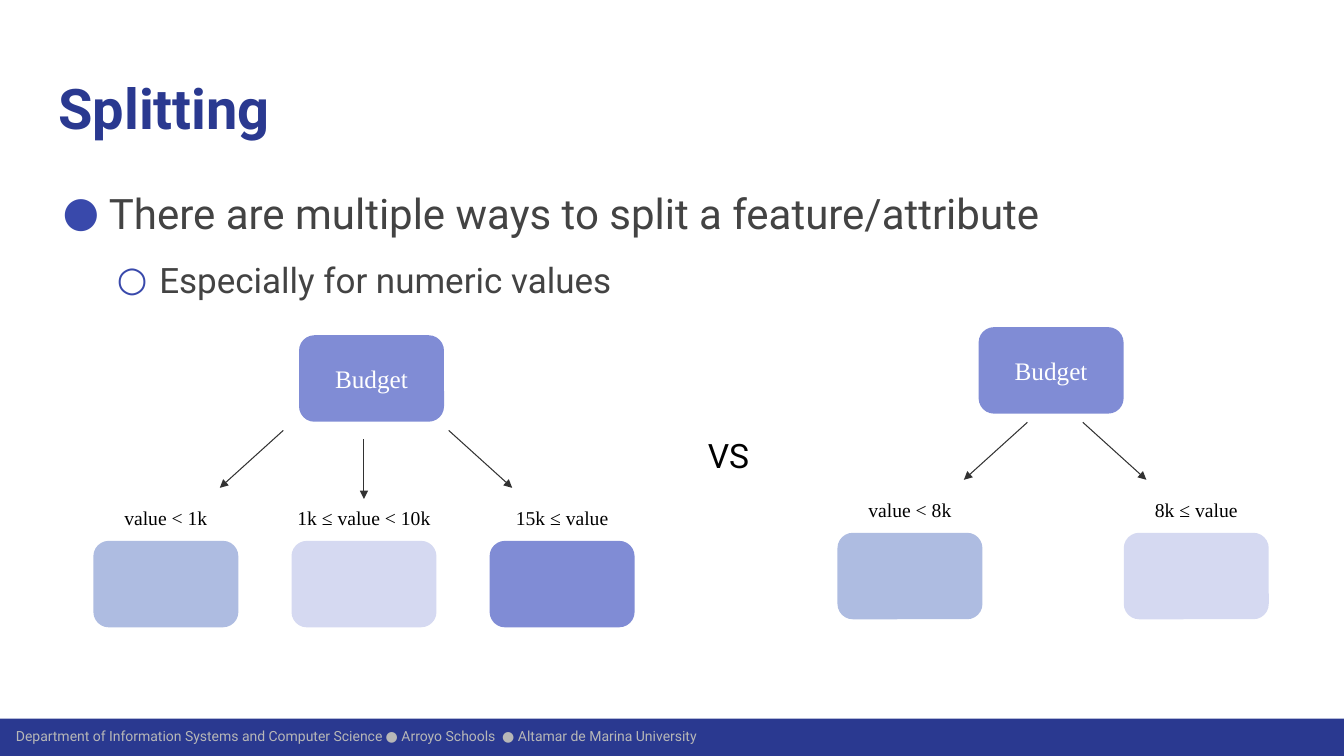
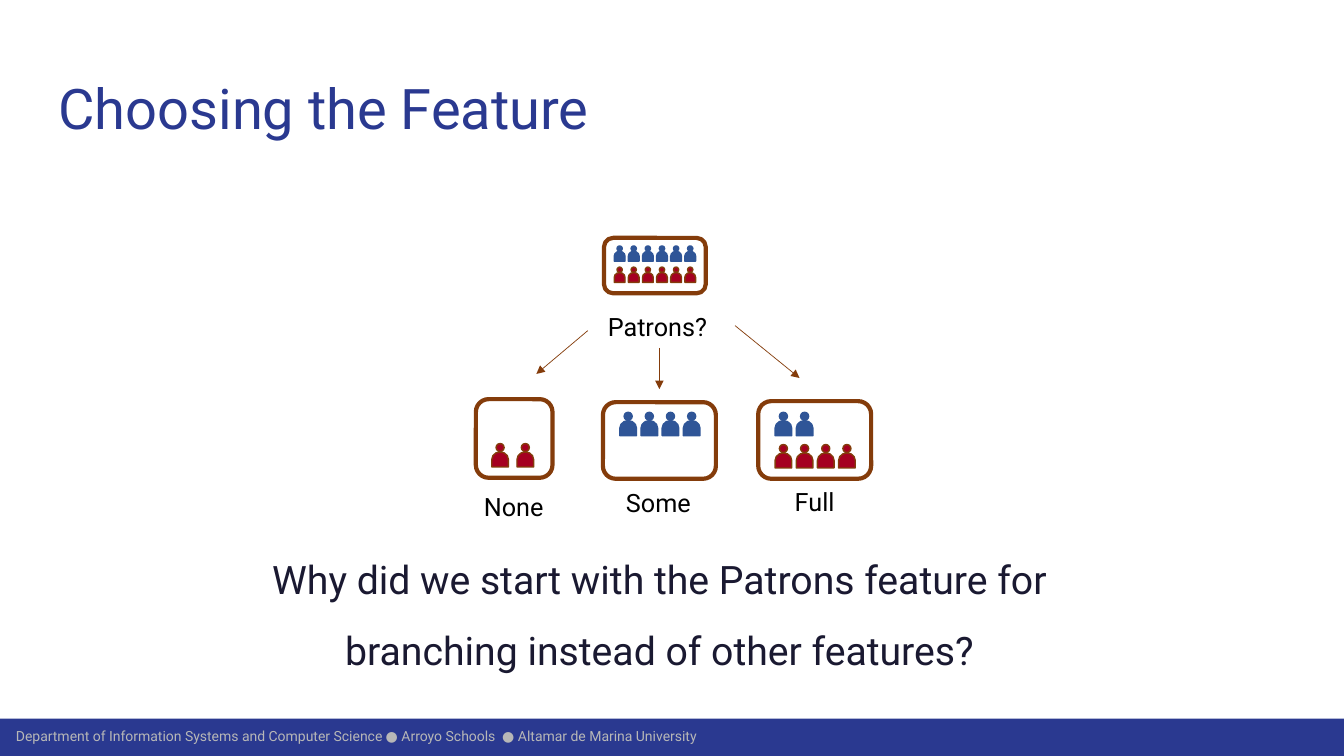
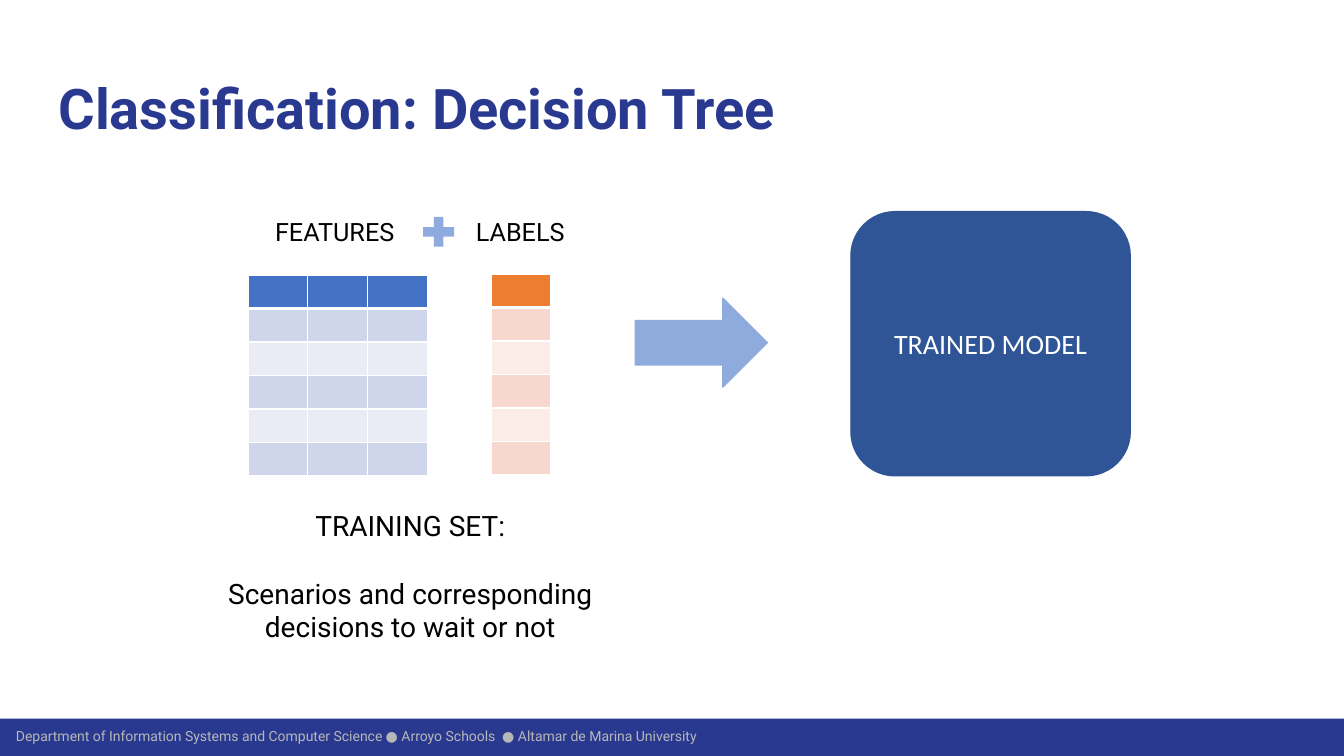
from lxml import etree
from pptx import Presentation, util as u
from pptx.dml.color import RGBColor
from pptx.enum import shapes, text
from pptx.oxml.ns import qn

# Shared style
W, H = 13.33, 7.5
C = dict(navy="2A3990", grey="B7B7B7", body="434343", bullet="3949AB", black="000000",
         white="FFFFFF", ink="1A1931", arrow="323232", strong="808CD5", light="AEBCE1",
         pale="D5D9F1", brown="843C0B", red="A50021", blue="2F5597", sky="8FAADC")
G = shapes.MSO_SHAPE
LEFT, CENTER = text.PP_ALIGN.LEFT, text.PP_ALIGN.CENTER
TOP, MIDDLE = text.MSO_ANCHOR.TOP, text.MSO_ANCHOR.MIDDLE
SERIF = "Times New Roman"
FOOTER = ("Department of Information Systems and Computer Science ● Arroyo Schools  "
          "● Altamar de Marina University")

# Slide 1: each tree fans out from its root box
BULLETS = [("There are multiple ways to split a feature/attribute", 30, "●", 0.5, -0.46),
           ("Especially for numeric values", 25, "○", 1, -0.42)]
BOX = (1.41, 0.83)
TREES = [
    dict(root=(2.98, 3.34), center=3.61, pitch=1.965, fan=3.63, gap=0.82,
         leaves=[("value < 1k", "light"), ("1k ≤ value < 10k", "pale"),
                 ("15k ≤ value", "strong")]),
    dict(root=(9.72, 3.26), center=10.445, pitch=2.84, fan=10.465, gap=0.275,
         leaves=[("value < 8k", "light"), ("8k ≤ value", "pale")]),
]

# Slide 2: frames, rows of people (x, y, count, pitch, scale, colour), labels, arrows
FRAMES = [(5.99, 2.36, 1.01, 0.55), (4.72, 3.96, 0.76, 0.78),
          (5.98, 3.99, 1.12, 0.76), (7.52, 3.98, 1.12, 0.77)]
PEOPLE = [(6.12, 2.44, 6, 0.14, 0.65, "blue"), (6.12, 2.65, 6, 0.14, 0.65, "red"),
          (4.92, 4.4, 2, 0.25, 1, "red"), (6.19, 4.09, 4, 0.21, 1, "blue"),
          (7.73, 4.09, 2, 0.21, 1, "blue"), (7.73, 4.41, 4, 0.21, 1, "red")]
BRANCH_LABELS = [("Patrons?", 5.93, 3.04, 1.22, LEFT), ("None", 4.7, 4.83, 0.81, LEFT),
                 ("Some", 6.01, 4.79, 1.04, CENTER), ("Full", 7.56, 4.78, 1.04, CENTER)]
BRANCHES = [(5.83, 3.28, 5.32, 3.71), (6.54, 3.45, 6.54, 3.86), (7.29, 3.23, 7.93, 3.75)]
QUESTION = ("Why did we start with the Patrons feature for branching "
            "instead of other features?")

# Slide 3: x, y, columns, header fill, band fills
CELL, ROWS = (0.593, 0.332), 6
TABLES = [(2.46, 2.73, 3, "4472C4", ("CFD5EA", "E9EBF5")),
          (4.87, 2.72, 1, "ED7D31", ("F8D7CE", "FCECE8"))]
TRAINING = ["TRAINING SET:", "Scenarios and corresponding decisions to wait or not"]


def rgb(name):
    return RGBColor.from_string(C.get(name, name))


def inches(*values):
    return [u.Inches(v) for v in values]


def write(sp, lines, size, color="black", font="Roboto", bold=False, align=LEFT,
          anchor=TOP, inset=None, **spacing):
    tf = sp.text_frame
    tf.word_wrap, tf.vertical_anchor = True, anchor
    tf.auto_size = text.MSO_AUTO_SIZE.NONE
    if inset:
        for side in ("left", "top", "right", "bottom"):
            setattr(tf, "margin_" + side, u.Inches(inset))
    for i, line in enumerate(lines):
        p = tf.add_paragraph() if i else tf.paragraphs[0]
        p.alignment = align
        for key, value in spacing.items():
            setattr(p, key, value)
        r = p.add_run()
        r.text = line
        for key, value in dict(size=u.Pt(size), name=font, bold=bold).items():
            setattr(r.font, key, value)
        r.font.color.rgb = rgb(color)
    return tf


def label(s, at, lines, size, **fmt):
    return write(s.shapes.add_textbox(*inches(*at)), lines, size, **fmt)


def shape(s, kind, at, fill, line=None, width=1, rotation=0):
    sp = s.shapes.add_shape(kind, *inches(*at))
    sp.shadow.inherit = False
    sp.rotation = rotation
    sp.fill.solid()
    sp.fill.fore_color.rgb = rgb(fill)
    if line:
        sp.line.color.rgb = rgb(line)
        sp.line.width = u.Pt(width)
    else:
        sp.line.fill.background()
    return sp


def arrow(s, ends, color, width):
    cx = s.shapes.add_connector(shapes.MSO_CONNECTOR.STRAIGHT, *inches(*ends))
    cx.line.color.rgb = rgb(color)
    cx.line.width = u.Pt(width)
    etree.SubElement(cx.line._get_or_add_ln(), qn("a:tailEnd"), type="triangle")
    etree.SubElement(cx.element.spPr, qn("a:effectLst"))


def bullet(p, char, margin, indent):
    pPr = p._p.get_or_add_pPr()
    pPr.set("marL", str(u.Inches(margin)))
    pPr.set("indent", str(u.Inches(indent)))
    color = etree.SubElement(pPr, qn("a:buClr"))
    etree.SubElement(color, qn("a:srgbClr"), val=C["bullet"])
    etree.SubElement(pPr, qn("a:buFont"), typeface="Roboto")
    etree.SubElement(pPr, qn("a:buChar"), char=char)


def add_footer(s, layout):
    """Draw the band and its text, then hand them to the layout."""
    band = shape(s, G.RECTANGLE, (0, 7.13, W, 0.37), "navy")
    note = s.shapes.add_textbox(*inches(0.06, 7.18, 10, 0.24))
    write(note, [FOOTER], 10, "grey", anchor=MIDDLE, inset=0.1)
    for sp in (band, note):
        layout.shapes.element.append(sp.element)


def new_slide(prs, title, bold=True):
    s = prs.slides.add_slide(prs.slide_layouts[5])
    sp = s.shapes.title
    sp.left, sp.top, sp.width, sp.height = inches(0.45, 0.6, 12.42, 0.89)
    write(sp, [title], 40, "navy", bold=bold, inset=0.13)
    return s


def draw_tree(s, root, center, pitch, fan, gap, leaves):
    x, y = root
    w, h = BOX
    sp = shape(s, G.ROUNDED_RECTANGLE, (x, y, w, h), "strong", "strong", 2)
    write(sp, ["Budget"], 18, "white", SERIF, align=CENTER, anchor=MIDDLE)
    for side in (-1, 1):
        start = fan + side * gap
        arrow(s, (start, y + 0.93, start + side * 0.63, y + 1.5), "arrow", 0.75)
    if len(leaves) % 2:
        arrow(s, (center, y + 1.02, center, y + 1.61), "arrow", 0.75)
    for i, (rule, color) in enumerate(leaves):
        mid = center + (i - (len(leaves) - 1) / 2) * pitch
        shape(s, G.ROUNDED_RECTANGLE, (mid - w / 2, y + 2.04, w, h), color, color, 2)
        label(s, (mid - 0.875, y + 1.63, 1.75, 0.34), [rule], 14, font=SERIF, align=CENTER)


def draw_person(s, x, y, k, color):
    line = "brown" if color == "red" else color
    shape(s, G.FLOWCHART_CONNECTOR, (x, y, 0.08 * k, 0.08 * k), color, line)
    shape(s, G.FLOWCHART_DELAY, (x - 0.035 * k, y + 0.075 * k, 0.15 * k, 0.165 * k),
          color, line, rotation=270)


def draw_table(s, x, y, cols, head, bands):
    w, h = CELL
    tbl = s.shapes.add_table(ROWS, cols, *inches(x, y, cols * w, ROWS * h)).table
    for r in range(ROWS):
        for c in range(cols):
            cell = tbl.cell(r, c)
            cell.margin_top = cell.margin_bottom = 0
            tcPr = cell._tc.get_or_add_tcPr()
            for side in "LRTB":
                thick = (r, side) in ((0, "B"), (1, "T"))
                ln = etree.SubElement(tcPr, qn("a:ln" + side), w=str(u.Pt(3 if thick else 1)))
                fill = etree.SubElement(ln, qn("a:solidFill"))
                etree.SubElement(fill, qn("a:srgbClr"), val=C["white"])
            cell.fill.solid()
            cell.fill.fore_color.rgb = rgb(bands[(r - 1) % 2] if r else head)


def splitting(prs):
    s = new_slide(prs, "Splitting")
    add_footer(s, prs.slide_layouts[5])
    tf = label(s, (0.45, 1.48, 12.42, 1.46), [b[0] for b in BULLETS], 30,
               color="body", inset=0.13, line_spacing=1.5)
    for i, (p, (_, size, *mark)) in enumerate(zip(tf.paragraphs, BULLETS)):
        p.level = i
        p.runs[0].font.size = u.Pt(size)
        bullet(p, *mark)
    for tree in TREES:
        draw_tree(s, **tree)
    label(s, (6.67, 4.27, 1.11, 0.5), ["VS"], 24, align=CENTER)


def choosing(prs):
    s = new_slide(prs, "Choosing the Feature", bold=False)
    label(s, (2.34, 5.23, 8.4, 1.5), [QUESTION], 28, color="ink", align=CENTER,
          line_spacing=1.5, space_before=u.Pt(10))
    for frame in FRAMES:
        shape(s, G.ROUNDED_RECTANGLE, frame, "white", "brown", 3)
    for x, y, count, pitch, scale, color in PEOPLE:
        for i in range(count):
            draw_person(s, x + i * pitch, y, scale, color)
    for name, x, y, w, align in BRANCH_LABELS:
        label(s, (x, y, w, 0.4), [name], 18, align=align)
    for ends in BRANCHES:
        arrow(s, ends, "brown", 0.5)


def classification(prs):
    s = new_slide(prs, "Classification: Decision Tree")
    for table in TABLES:
        draw_table(s, *table)
    shape(s, G.RIGHT_ARROW, (6.3, 2.96, 1.31, 0.88), "sky", "sky")
    label(s, (2.63, 2.1, 1.44, 0.4), ["FEATURES"], 18)
    label(s, (4.44, 2.1, 1.44, 0.4), ["LABELS"], 18, align=CENTER)
    shape(s, G.MATH_PLUS, (4.14, 2.1, 0.42, 0.4), "sky")
    tf = label(s, (1.91, 5, 4.32, 1.45), TRAINING, 20, align=CENTER)
    tf.paragraphs[0].space_after = u.Pt(24)
    model = shape(s, G.ROUNDED_RECTANGLE, (8.44, 2.1, 2.77, 2.62), "blue", "blue")
    write(model, ["TRAINED MODEL"], 20, "white", "Calibri", align=CENTER, anchor=MIDDLE)


def main():
    prs = Presentation()
    prs.slide_width, prs.slide_height = inches(W, H)
    for build in (splitting, choosing, classification):
        build(prs)
    prs.save("out.pptx")


if __name__ == "__main__":
    main()
